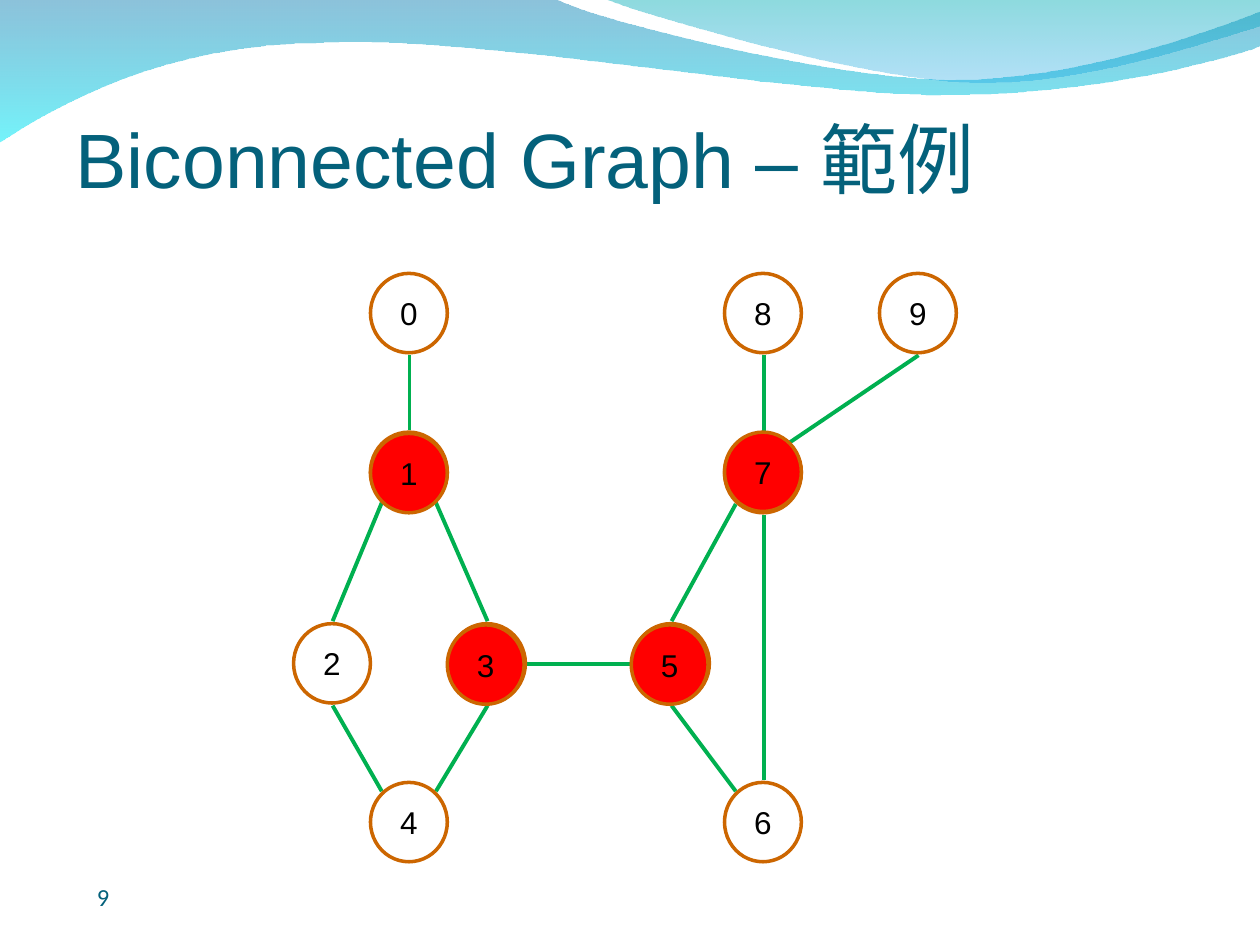
from pptx import Presentation
from pptx.dml.color import RGBColor
from pptx.enum.shapes import MSO_CONNECTOR as Connector, MSO_SHAPE as Preset
from pptx.enum.text import MSO_ANCHOR as Anchor, PP_ALIGN as Align
from pptx.oxml.ns import qn
from pptx.util import Pt
from lxml.etree import SubElement

PX = 9144
COLORS = {
    "title": "04617B", "text": "000000", "edge": "00B050",
    "outline": "CC6600", "cut": "FF0000", "plain": "FFFFFF",
    "wave_blue": "0079AF", "wave_cyan": "00EBF8",
    "wave_teal": "00ADB6", "wave_sky": "009BE5",
}
NODE_WIDTH, NODE_HEIGHT = 61, 63
NODES = {
    "0": (61, 0), "1": (61, 126), "2": (0, 278), "3": (123, 278),
    "4": (61, 404), "5": (269, 278), "8": (342, 0), "7": (342, 127),
    "6": (342, 404), "9": (465, 0),
}
CUT_VERTICES = {"3": (122, 279), "1": (61, 127), "5": (268, 279), "7": (342, 126)}
SITES = {
    "n": (31, -2), "s": (31, 65), "w": (-2, 32), "e": (62, 32),
    "nw": (9, 7), "ne": (52, 7), "sw": (9, 56), "se": (52, 56),
}
EDGES = [
    ("0", "s", "1", "n"), ("1", "sw", "2", "n"), ("1", "se", "3", "n"),
    ("2", "s", "4", "nw"), ("3", "s", "4", "ne"), ("3", "e", "5", "w"),
    ("7", "sw", "5", "n"), ("5", "s", "6", "nw"), ("7", "s", "6", "n"),
    ("8", "s", "7", "n"), ("7", "ne", "9", "s"),
]
LOWER_WAVE = [
    (1, 0), (441, 0), (477, 18, 665, 64, 759, 64), (854, 64, 959, 27, 1001, 10),
    (1002, 37), (984, 45, 871, 77, 747, 76), (623, 76, 383, 29, 258, 35),
    (130, 36, 47, 84, 0, 114), (1, 0),
]
UPPER_WAVE = [
    (0, 0), (30, 12, 203, 63, 290, 66), (377, 70, 482, 33, 521, 22), (521, 1), (0, 0),
]


def color(name):
    return RGBColor.from_string(COLORS[name])


def emu(*lengths):
    return [length * PX for length in lengths]


def draw_curves(shape, segments):
    outline = next(shape._element.iter(qn("a:path")))
    for child in list(outline):
        outline.remove(child)
    for index, segment in enumerate(segments):
        tag = "a:lnTo" if len(segment) == 2 else "a:cubicBezTo"
        command = SubElement(outline, qn(tag if index else "a:moveTo"))
        for x, y in zip(emu(*segment[::2]), emu(*segment[1::2])):
            point = SubElement(command, qn("a:pt"))
            point.set("x", str(x))
            point.set("y", str(y))
    SubElement(outline, qn("a:close"))


def add_wave(slide, left, top, width, height, segments, stops):
    builder = slide.shapes.build_freeform(*emu(left, top))
    builder.add_line_segments([emu(left + width, top + height)], close=True)
    shape = builder.convert_to_shape()
    draw_curves(shape, segments)
    shape.shadow.inherit = False
    shape.line.fill.background()
    shape.fill.gradient()
    shape.fill.gradient_angle = 270
    for stop, (name, _) in zip(shape.fill.gradient_stops, stops):
        stop.color.rgb = color(name)
    stop_colors = shape._element.spPr.iter(qn("a:srgbClr"))
    for element, (_, opacity) in zip(list(stop_colors), stops):
        SubElement(element, qn("a:alpha")).set("val", str(opacity * 1000))


def add_header(slide, left, top):
    add_wave(slide, left, top, 1002, 114, LOWER_WAVE,
             [("wave_blue", 45), ("wave_cyan", 55)])
    add_wave(slide, left + 480, top, 521, 70, UPPER_WAVE,
             [("wave_teal", 45), ("wave_sky", 30)])


def write(shape, text, font_name, size, color_name, anchor, align):
    frame = shape.text_frame
    frame.word_wrap = True
    frame.vertical_anchor = anchor
    frame.margin_left, frame.margin_right = emu(10, 10)
    frame.margin_top, frame.margin_bottom = emu(5, 5)
    frame.text = text
    paragraph = frame.paragraphs[0]
    paragraph.alignment = align
    font = paragraph.runs[0].font
    font.name, font.size = font_name, Pt(size)
    font.color.rgb = color(color_name)


def add_title(slide, left, top, width, height):
    box = slide.shapes.add_textbox(*emu(left, top, width, height))
    write(box, "Biconnected Graph – 範例", "Arial", 44, "title",
          Anchor.BOTTOM, Align.LEFT)


def add_page_number(slide, left, top, width, height):
    box = slide.shapes.add_textbox(*emu(left, top, width, height))
    write(box, "9", "Calibri", 14, "title", Anchor.TOP, Align.LEFT)


def add_edge(slide, start, end):
    edge = slide.shapes.add_connector(Connector.STRAIGHT, *emu(*start, *end))
    edge.line.color.rgb = color("edge")
    edge.line.width = Pt(2.25)
    SubElement(edge._element.spPr, qn("a:effectLst"))


def add_node(slide, left, top, label, fill_name=None):
    node = slide.shapes.add_shape(
        Preset.OVAL, *emu(left, top, NODE_WIDTH, NODE_HEIGHT))
    node.shadow.inherit = False
    if fill_name:
        node.fill.solid()
        node.fill.fore_color.rgb = color(fill_name)
    else:
        node.fill.background()
    node.line.color.rgb = color("outline")
    node.line.width = Pt(2)
    write(node, label, "Arial", 18, "text", Anchor.MIDDLE, Align.CENTER)


def add_graph(slide, left, top):
    def site(label, side):
        (x, y), (dx, dy) = NODES[label], SITES[side]
        return left + x + dx, top + y + dy

    for source, source_side, target, target_side in EDGES:
        add_edge(slide, site(source, source_side), site(target, target_side))
    for label, (x, y) in NODES.items():
        add_node(slide, left + x, top + y, label,
                 "plain" if label in CUT_VERTICES else None)
    for label, (x, y) in CUT_VERTICES.items():
        add_node(slide, left + x, top + y, label, "cut")


def main():
    presentation = Presentation()
    presentation.slide_width, presentation.slide_height = emu(1000, 750)
    slide = presentation.slides.add_slide(presentation.slide_layouts[6])
    add_header(slide, -1, -1)
    add_title(slide, 50, 42, 900, 125)
    add_page_number(slide, 67, 695, 217, 40)
    add_graph(slide, 233, 217)
    presentation.save("out.pptx")


if __name__ == "__main__":
    main()
